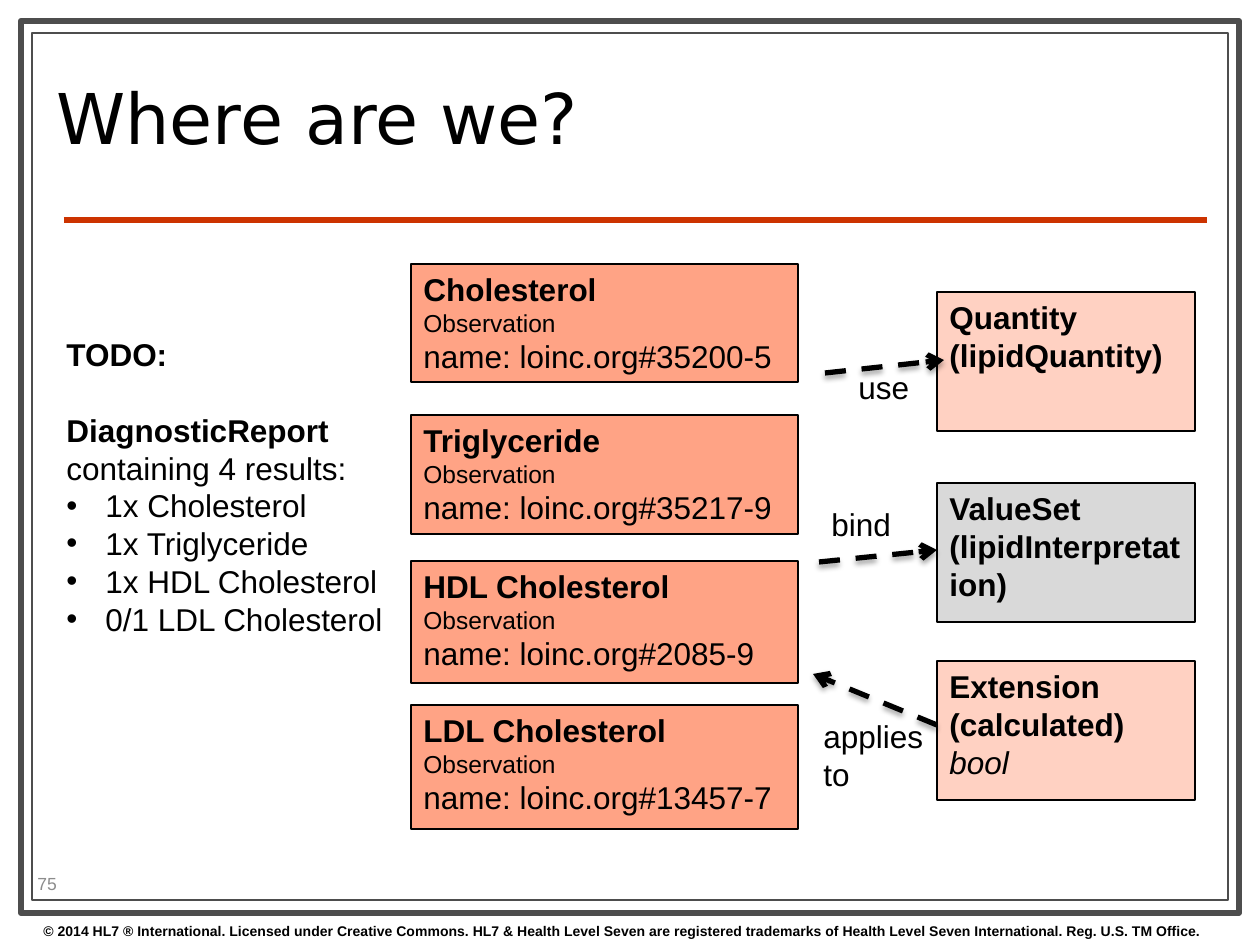
from lxml.etree import SubElement
from pptx import Presentation
from pptx.dml.color import RGBColor
from pptx.enum.dml import MSO_LINE_DASH_STYLE as Dash
from pptx.enum.shapes import MSO_CONNECTOR as Connector, MSO_SHAPE as Shape
from pptx.enum.text import MSO_ANCHOR as Anchor, PP_ALIGN as Align
from pptx.oxml import parse_xml
from pptx.oxml.ns import nsdecls, qn
from pptx.util import Pt

BLACK = RGBColor(0x00, 0x00, 0x00)
WHITE = RGBColor(0xFF, 0xFF, 0xFF)
FRAME = RGBColor(0x4D, 0x4D, 0x4D)
RULE = RGBColor(0xCC, 0x33, 0x00)
NUMBER = RGBColor(0x8C, 0x8C, 0x8C)
SALMON = RGBColor(0xFF, 0xA3, 0x85)
BLUSH = RGBColor(0xFF, 0xD1, 0xC2)
SILVER = RGBColor(0xD9, 0xD9, 0xD9)

EFFECTS = f"<a:effectLst {nsdecls('a')}/>"
SHADOW = (
    f"<a:effectLst {nsdecls('a')}>"
    '<a:outerShdw blurRad="39370" dist="22860" dir="5400000" rotWithShape="0">'
    '<a:srgbClr val="000000"><a:alpha val="35000"/></a:srgbClr>'
    "</a:outerShdw></a:effectLst>"
)


def px(*lengths):
    """Turn pixel lengths into EMU, at 126 pixels to the inch."""
    return [round(length * 914400 / 126) for length in lengths]


def add_span(para, text, size=18, bold=False, italic=False, color=BLACK, face="Arial"):
    """Add one formatted run."""
    span = para.add_run()
    span.text = text
    font = span.font
    font.name, font.size, font.bold, font.italic = face, Pt(size), bold, italic
    font.color.rgb = color


def write_lines(frame, lines):
    """Write one left-aligned paragraph for each (text, format) pair."""
    for index, (text, style) in enumerate(lines):
        para = frame.paragraphs[0] if index == 0 else frame.add_paragraph()
        para.alignment = Align.LEFT
        add_span(para, text, **style)


def add_text(shapes, box, lines, wrap=True, anchor=Anchor.TOP):
    """Add a text box and return its frame."""
    frame = shapes.add_textbox(*px(*box)).text_frame
    frame.word_wrap = wrap
    frame.vertical_anchor = anchor
    write_lines(frame, lines)
    return frame


def add_box(page, box, fill, border=BLACK, weight=0.75, lines=()):
    """Add a bordered rectangle with text at its top left."""
    shape = page.shapes.add_shape(Shape.RECTANGLE, *px(*box))
    shape.shadow.inherit = False
    shape.fill.solid()
    shape.fill.fore_color.rgb = fill
    shape.line.color.rgb = border
    shape.line.width = Pt(weight)
    shape.text_frame.word_wrap = True
    shape.text_frame.vertical_anchor = Anchor.TOP
    write_lines(shape.text_frame, lines)


def add_line(shapes, ends, color, effects=EFFECTS):
    """Add a straight line three points wide."""
    line = shapes.add_connector(Connector.STRAIGHT, *px(*ends))
    line.line.color.rgb = color
    line.line.width = Pt(3)
    line.element.spPr.append(parse_xml(effects))
    return line.line


def add_frame(page, box):
    """Draw the double border, the rule, the page number and the footer."""
    left, top, width, height = box
    add_box(page, box, WHITE, FRAME, 3.5)
    add_box(page, (left + 11, top + 12, width - 22, height - 25), WHITE, FRAME)
    add_line(page.shapes, (left + 43, top + 199, left + 1186, top + 199), RULE)
    add_text(
        page.shapes, (left + 10, top + 895, 1260, 29),
        [("© 2014 HL7 ® International. Licensed under Creative Commons. "
          "HL7 & Health Level Seven are registered trademarks of Health Level "
          "Seven International. Reg. U.S. TM Office.", dict(size=8, bold=True))])
    add_text(page.shapes, (left + 4, top + 847, 100, 30),
             [("75", dict(size=10, color=NUMBER))], anchor=Anchor.MIDDLE)


def set_title(page, box, text):
    """Place and format the title in front of the frame."""
    title = page.shapes.title
    title.left, title.top, title.width, title.height = px(*box)
    title.element.getparent().append(title.element)
    frame = title.text_frame
    frame.word_wrap = True
    frame.vertical_anchor = Anchor.MIDDLE
    write_lines(frame, [(text, dict(size=40, face="DejaVu Sans"))])
    frame.paragraphs[0].line_spacing = 0.8


def add_todo(page, box):
    """List the parts of the report still to be made."""
    results = ["1x Cholesterol", "1x Triglyceride", "1x HDL Cholesterol", "0/1 LDL Cholesterol"]
    lines = [("TODO:", dict(bold=True)), ("DiagnosticReport", dict(bold=True)),
             ("containing 4 results:", {})]
    frame = add_text(page.shapes, box, lines + [(result, {}) for result in results])
    frame.paragraphs[1].space_before = Pt(21.6)
    indent = px(39)[0]
    for para in frame.paragraphs[len(lines):]:
        properties = para._p.get_or_add_pPr()
        properties.set("marL", str(indent))
        properties.set("indent", str(-indent))
        SubElement(properties, qn("a:buFont"), typeface="Arial")
        SubElement(properties, qn("a:buChar"), char="•")


def add_observations(page, box):
    """Stack the four observation profiles."""
    left, top, width, _ = box
    observations = [
        ("Cholesterol", "35200-5", 0, 118),
        ("Triglyceride", "35217-9", 151, 119),
        ("HDL Cholesterol", "2085-9", 297, 122),
        ("LDL Cholesterol", "13457-7", 441, 124),
    ]
    for name, code, offset, height in observations:
        add_box(page, (left, top + offset, width, height), SALMON, lines=[
            (name, dict(bold=True)), ("Observation", dict(size=14)),
            (f"name: loinc.org#{code}", {})])


def add_definitions(page, box):
    """Stack the type, value set and extension boxes."""
    left, top, width, _ = box
    strong = dict(bold=True)
    definitions = [
        (0, BLUSH, [("Quantity (lipidQuantity)", strong)]),
        (191, SILVER, [("ValueSet", strong), ("(lipidInterpretation)", strong)]),
        (369, BLUSH, [("Extension", strong), ("(calculated)", strong),
                      ("bool", dict(italic=True))]),
    ]
    for offset, fill, lines in definitions:
        add_box(page, (left, top + offset, width, 139), fill, lines=lines)


def add_relation(page, ends, box, words):
    """Group a dashed arrow with its label."""
    shapes = page.shapes.add_group_shape().shapes
    line = add_line(shapes, ends, BLACK, SHADOW)
    line.dash_style = Dash.DASH
    SubElement(line._get_or_add_ln(), qn("a:tailEnd"), type="arrow")
    add_text(shapes, box, [(word, {}) for word in words], wrap=False)


def main():
    """Build the slide and save it."""
    deck = Presentation()
    deck.slide_width, deck.slide_height = px(1260, 945)
    page = deck.slides.add_slide(deck.slide_layouts[5])
    add_frame(page, (21, 21, 1218, 892))
    set_title(page, (44, 45, 903, 159), "Where are we?")
    add_observations(page, (411, 264, 387, 565))
    add_definitions(page, (937, 292, 258, 508))
    add_relation(page, (825, 373, 944, 360), (846, 362, 77, 50), ["use"])
    add_relation(page, (819, 562, 937, 550), (819, 499, 85, 50), ["bind"])
    add_relation(page, (937, 725, 813, 674), (811, 711, 126, 89), ["applies", "to"])
    add_todo(page, (54, 329, 348, 318))
    deck.save("out.pptx")


if __name__ == "__main__":
    main()
